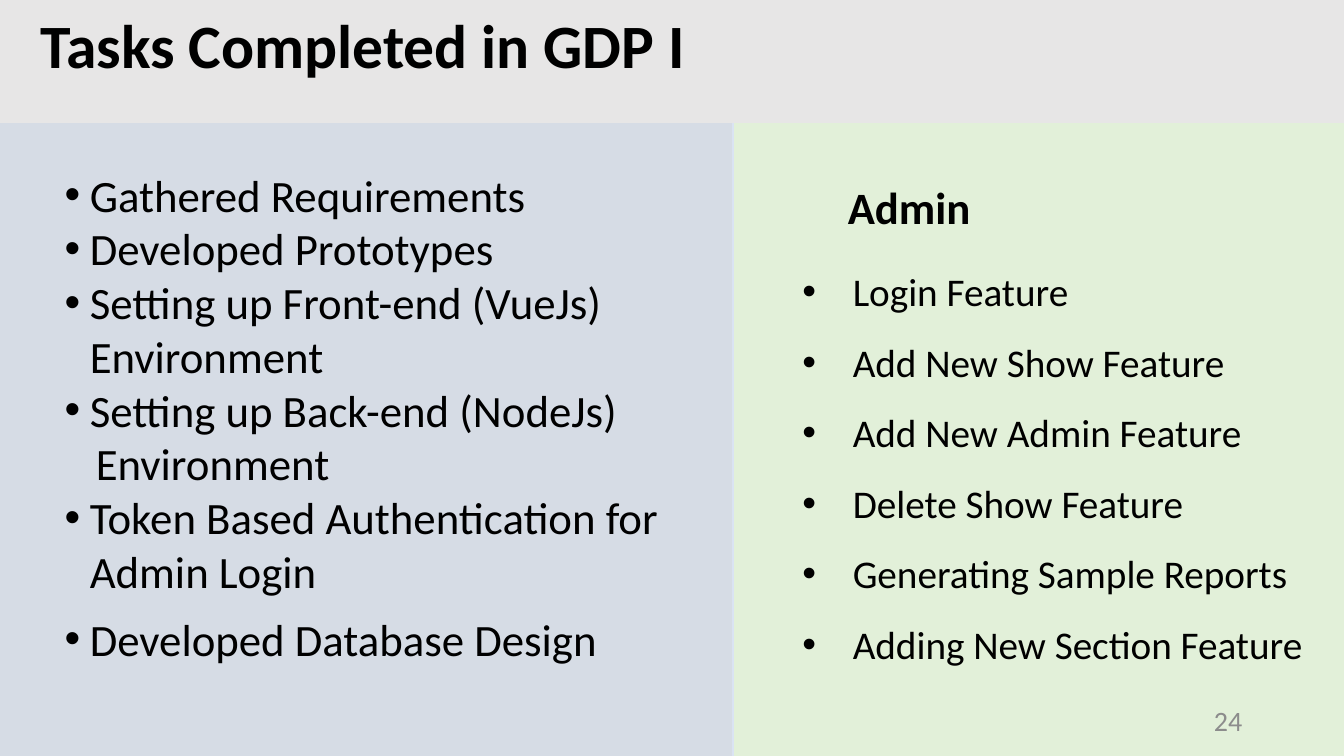
from dataclasses import dataclass

from pptx import Presentation
from pptx.dml.color import RGBColor as RGB
from pptx.enum.shapes import MSO_SHAPE as SHAPE
from pptx.enum.text import MSO_ANCHOR as ANCHOR, MSO_AUTO_SIZE as FIT, PP_ALIGN as ALIGN
from pptx.oxml.ns import qn
from pptx.util import Inches, Pt
from lxml.etree import SubElement


@dataclass(frozen=True)
class Theme:
    font: str = "Calibri"
    ink: str = "000000"
    muted: str = "8C8C8C"
    edge: str = "DAE3F3"
    blue: str = "D6DCE5"
    green: str = "E2F0D9"
    grey: str = "E7E6E6"
    title: int = 44
    body: int = 32
    item: int = 28
    page: int = 20


THEME = Theme()

# Text, bulleted, space before in points
TASKS = [
    ("Gathered Requirements", True, 0),
    ("Developed Prototypes", True, 0),
    ("Setting up Front-end (VueJs) Environment", True, 0),
    ("Setting up Back-end (NodeJs)", True, 0),
    ("Environment", False, 0),
    ("Token Based Authentication for Admin Login", True, 0),
    ("Developed Database Design", True, 10),
]
FEATURES = [
    "Login Feature",
    "Add New Show Feature",
    "Add New Admin Feature",
    "Delete Show Feature",
    "Generating Sample Reports",
    "Adding New Section Feature",
]


def place(shape, box):
    shape.left, shape.top, shape.width, shape.height = map(Inches, box)


def panel(slide, box, fill, edge=None):
    shape = slide.shapes.add_shape(SHAPE.RECTANGLE, *map(Inches, box))
    shape.shadow.inherit = False
    shape.fill.solid()
    shape.fill.fore_color.rgb = RGB.from_string(fill)
    if edge:
        shape.line.color.rgb = RGB.from_string(edge)
        shape.line.width = Pt(1)
    else:
        shape.line.fill.background()


def frame(shape, anchor=ANCHOR.TOP):
    """Return the shape's text frame, wrapped and of fixed size."""
    text = shape.text_frame
    text.word_wrap = True
    text.auto_size = FIT.NONE
    text.vertical_anchor = anchor
    return text


def holder(slide, index, box):
    """Move a placeholder to its box, in front of the panels."""
    shape = slide.placeholders[index]
    place(shape, box)
    slide.shapes.element.append(shape.element)
    return frame(shape)


def textbox(slide, box, anchor=ANCHOR.TOP):
    return frame(slide.shapes.add_textbox(*map(Inches, box)), anchor)


def write(target, text, *, size, color=THEME.ink, bold=False, align=ALIGN.LEFT,
          left=0, hang=0, level=0, before=0, spacing=1.0):
    """Add a paragraph; a hanging indent gives it a bullet."""
    first = target.paragraphs[0]
    para = target.add_paragraph() if first.runs else first
    props = para._p.get_or_add_pPr()
    props.set("marL", str(Inches(left)))
    props.set("indent", str(-Inches(hang)))
    if hang:
        SubElement(props, qn("a:buFont"), typeface="Arial")
        SubElement(props, qn("a:buChar"), char="•")
    else:
        SubElement(props, qn("a:buNone"))
    para.level = level
    para.alignment = align
    para.space_before = Pt(before)
    para.line_spacing = spacing
    run = para.add_run()
    run.text = text
    font = run.font
    font.name, font.size, font.bold = THEME.font, Pt(size), bold
    font.color.rgb = RGB.from_string(color)


def main():
    deck = Presentation()
    deck.slide_width, deck.slide_height = Inches(13.33), Inches(7.5)
    slide = deck.slides.add_slide(deck.slide_layouts[1])

    panel(slide, (7.25, 0.46, 6.17, 7.57), THEME.green, THEME.edge)
    panel(slide, (-0.28, 0, 7.55, 8.03), THEME.blue, THEME.edge)
    panel(slide, (-0.09, -0.06, 13.59, 1.28), THEME.grey)

    title = holder(slide, 0, (0.3, 0.1, 11.56, 0.97))
    write(title, "Tasks Completed in GDP I", size=THEME.title, bold=True, spacing=0.9)

    tasks = holder(slide, 1, (0.54, 1.61, 6.5, 6.18))
    for text, dot, before in TASKS:
        write(tasks, text, size=THEME.body, before=before,
              left=0.25 if dot else 0.31, hang=0.25 if dot else 0)

    head = textbox(slide, (8.11, 1.73, 5.25, 0.94))
    write(head, "Admin", size=THEME.body, bold=True, left=0.2)

    items = textbox(slide, (7.36, 2.37, 6.06, 4.64))
    for text in FEATURES:
        write(items, text, size=THEME.item, left=1, hang=0.5, level=1, spacing=1.5)

    page = textbox(slide, (9.42, 6.95, 3, 0.4), ANCHOR.MIDDLE)
    write(page, "24", size=THEME.page, color=THEME.muted, align=ALIGN.RIGHT)

    deck.save("out.pptx")


if __name__ == "__main__":
    main()
